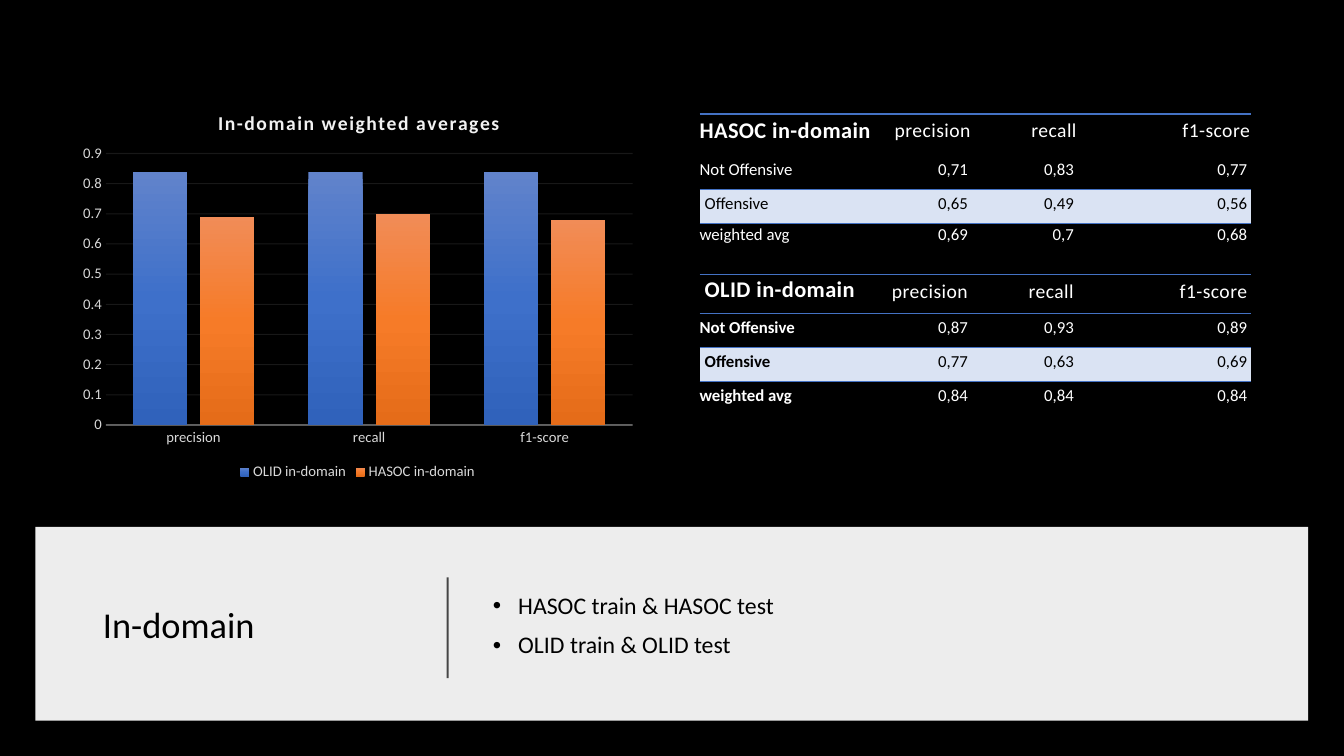
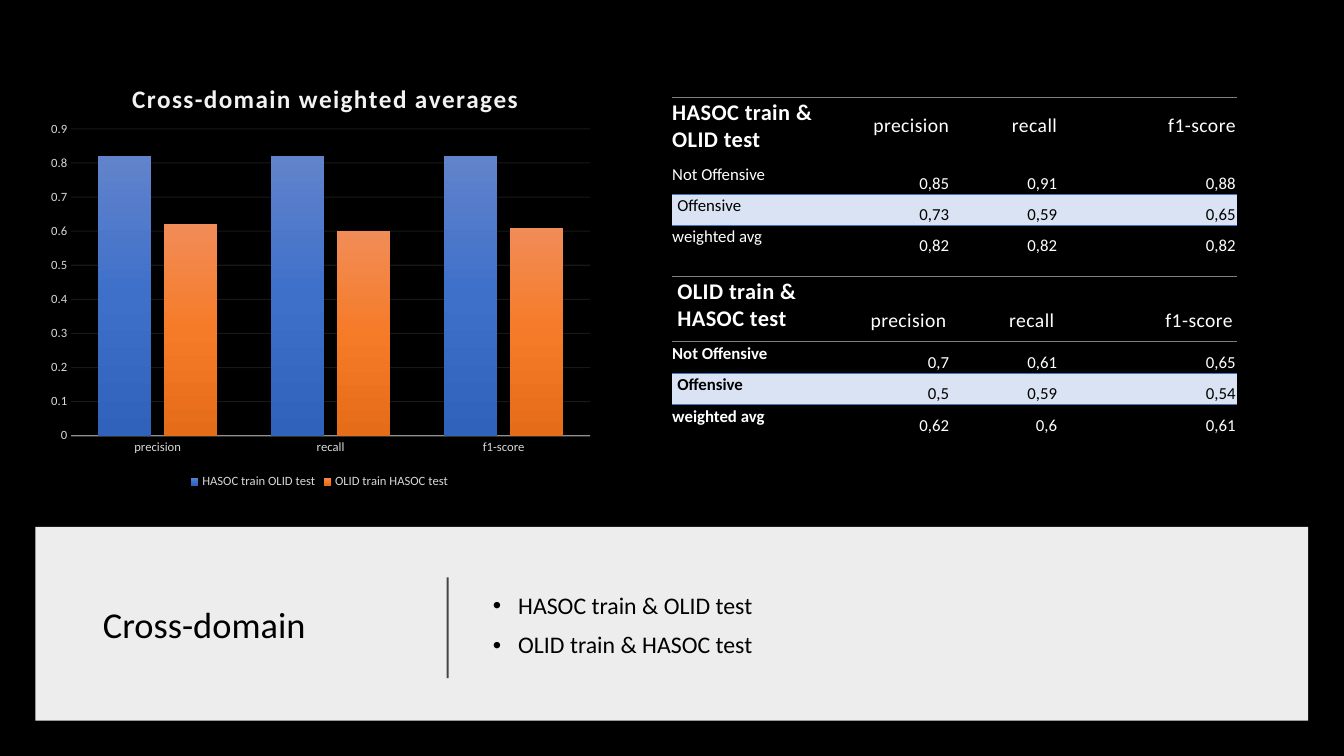
from dataclasses import dataclass

from lxml.etree import SubElement
from pptx import Presentation
from pptx.chart.data import CategoryChartData as ChartData
from pptx.dml.color import RGBColor as RGB
from pptx.enum.chart import XL_CHART_TYPE as Kind, XL_LEGEND_POSITION as Side
from pptx.enum.chart import XL_TICK_MARK as Tick
from pptx.enum.shapes import MSO_CONNECTOR as Wire, MSO_SHAPE as Form
from pptx.enum.text import MSO_ANCHOR as Anchor, MSO_AUTO_SIZE as Fit, PP_ALIGN as Align
from pptx.oxml import parse_xml
from pptx.oxml.ns import nsdecls, qn
from pptx.util import Cm, Pt


@dataclass(frozen=True)
class Theme:
    font: str = "Calibri"
    dark: str = "000000"
    light: str = "FFFFFF"
    label: str = "D9D9D9"
    grid: str = "F2F2F2"
    blue: str = "4472C4"
    grey: str = "7F7F7F"
    tint: str = "DAE3F3"
    bars: tuple = (("6183CB", "3E70CA", "3062BB"), ("F18C57", "F67B28", "E56C19"))
    title: float = 26
    body: float = 17
    head: float = 16
    sub: float = 14
    cell: float = 12


HEADS = ("precision", "recall", "f1-score")
NO_STYLE = "{2D5ABB26-0587-4C30-8999-92F81FD0307C}"
EDGE = (0.03, 0.1, 0.23)  # top, right and bottom cell margins
GAP = 0.51  # extra room under the first block of a table


def fade(color, pct):
    """Set the opacity of a colour, in percent."""
    SubElement(color._xFill[0], qn("a:alpha"), val=str(pct * 1000))


def place(node, at, **parts):
    """Give a chart part a fixed layout in fractions of the chart."""
    old = node.find(qn("c:layout"))
    if old is not None:
        node.remove(old)
    box = parse_xml(f"<c:layout {nsdecls('c')}><c:manualLayout/></c:layout>")
    if "w" in parts:
        SubElement(box[0], qn("c:layoutTarget"), val="inner")
    for key in ("x", "y"):
        SubElement(box[0], qn(f"c:{key}Mode"), val="edge")
    for key, val in parts.items():
        SubElement(box[0], qn(f"c:{key}"), val=str(val))
    node.insert(at, box)


class Deck:
    def __init__(self, theme):
        self.theme = theme
        self.show = Presentation()
        self.show.slide_width, self.show.slide_height = Cm(33.87), Cm(19.05)
        self.slide = None

    def start(self):
        self.slide = self.show.slides.add_slide(self.show.slide_layouts[5])
        fill = self.slide.background.fill
        fill.solid()
        fill.fore_color.rgb = RGB.from_string(self.theme.dark)

    def style(self, font, size, color, bold=False):
        font.name, font.size, font.bold = self.theme.font, Pt(size), bold
        font.color.rgb = RGB.from_string(color)

    def run(self, para, text, size, color, bold=False, spc=0):
        run = para.add_run()
        run.text = text
        self.style(run.font, size, color, bold)
        if spc:
            run.font._element.set("spc", str(spc))

    def band(self):
        shapes = self.slide.shapes
        band = shapes.add_shape(Form.RECTANGLE, Cm(0.89), Cm(13.28), Cm(32.08), Cm(4.88))
        band.shadow.inherit = False
        band.fill.solid()
        band.fill.fore_color.rgb = RGB.from_string(self.theme.light)
        fade(band.fill.fore_color, 93)
        band.line.fill.background()
        line = shapes.add_connector(Wire.STRAIGHT, Cm(11.28), Cm(17.09), Cm(11.28), Cm(14.55))
        line.line.width = Pt(1.5)
        line.line.color.rgb = RGB.from_string(self.theme.dark)
        fade(line.line.color, 70)
        SubElement(line._element.spPr, qn("a:effectLst"))

    def frame(self, shape, left, width):
        """Set a text shape on the band and return its text frame."""
        shape.left, shape.top = Cm(left), Cm(13.92)
        shape.width, shape.height = Cm(width), Cm(3.73)
        frame = shape.text_frame
        frame.word_wrap, frame.auto_size = True, Fit.NONE
        frame.vertical_anchor = Anchor.MIDDLE
        return frame

    def title(self, text):
        shape = self.slide.shapes.title
        para = self.frame(shape, 2.34, 8.03).paragraphs[0]
        para.alignment, para.line_spacing = Align.LEFT, 0.9
        self.run(para, text, self.theme.title, self.theme.dark)
        tree = shape._element.getparent()
        tree.append(shape._element)

    def points(self, items):
        shape = self.slide.shapes.add_textbox(0, 0, 0, 0)
        frame = self.frame(shape, 12.17, 19.38)
        for pos, item in enumerate(items):
            para = frame.add_paragraph() if pos else frame.paragraphs[0]
            para.line_spacing, para.space_before = 0.9, Pt(10)
            props = para._p.get_or_add_pPr()
            props.set("marL", str(Cm(0.64)))
            props.set("indent", str(-Cm(0.64)))
            SubElement(props, qn("a:buFont"), typeface="Arial")
            SubElement(props, qn("a:buChar"), char="•")
            self.run(para, item, self.theme.body, self.theme.dark)

    def rule(self, cell, color, width):
        """Draw the top border of a cell."""
        line = parse_xml(
            f'<a:lnT {nsdecls("a")} w="{Pt(width)}"><a:solidFill>'
            f'<a:srgbClr val="{color}"/></a:solidFill></a:lnT>')
        cell._tc.get_or_add_tcPr().insert(0, line)

    def cell(self, cell, text, edges, right, **font):
        cell.margin_left, cell.margin_top, cell.margin_right, cell.margin_bottom = map(Cm, edges)
        cell.vertical_anchor = Anchor.BOTTOM
        para = cell.text_frame.paragraphs[0]
        para.alignment = Align.RIGHT if right else Align.LEFT
        self.run(para, text, **font)

    def table(self, spot, cols, rows, blocks, rules, tight):
        """Stack score blocks; tight puts the numbers on the cell floor."""
        look = self.theme
        frame = self.slide.shapes.add_table(
            len(rows), len(cols), *map(Cm, (*spot, sum(cols), sum(rows))))
        table = frame.table
        table.first_row = table.horz_banding = False
        next(frame._element.iter(qn("a:tableStyleId"))).text = NO_STYLE
        for col, width in zip(table.columns, cols):
            col.width = Cm(width)
        for row, height in zip(table.rows, rows):
            row.height = Cm(height)
        for part, (name, lines) in enumerate(blocks):
            grid = [(name, *HEADS), *lines]
            for pos, line in enumerate(grid):
                head, mark = pos == 0, pos == 2
                for num, text in enumerate(line):
                    cell = table.cell(part * len(grid) + pos, num)
                    top, side, foot = EDGE
                    left = 0.13 if mark or (head and part) else 0
                    if head and not part:
                        side = 0.03
                    elif tight and num and not head:
                        left, side, foot = 0.03, 0.03, 0
                    if pos == 3 and not part:
                        foot += GAP
                    size = look.cell
                    if head:
                        size = look.sub if num else look.head
                    self.cell(cell, text, (left, top, side, foot), num > 0, size=size,
                              color=look.dark if mark else look.light,
                              bold=num == 0 and (head or part > 0), spc=30 if head else 0)
                    if head and not part:
                        cell.vertical_anchor = Anchor.MIDDLE
                    if mark:
                        cell.fill.solid()
                        cell.fill.fore_color.rgb = RGB.from_string(look.tint)
                        self.rule(cell, look.blue, 0.75)
                    else:
                        cell.fill.background()
                    if head:
                        self.rule(cell, *rules[part])

    def chart(self, spot, title, size, small, series, at, plot):
        look = self.theme
        data = ChartData()
        data.categories = HEADS
        for name, vals in series:
            data.add_series(name, vals)
        chart = self.slide.shapes.add_chart(
            Kind.COLUMN_CLUSTERED, *map(Cm, spot), data).chart
        self.style(chart.font, small, look.label)
        back = parse_xml(
            f'<c:spPr {nsdecls("c", "a")}><a:solidFill><a:srgbClr val="{look.dark}"/>'
            '</a:solidFill><a:ln><a:noFill/></a:ln></c:spPr>')
        chart._chartSpace.find(qn("c:txPr")).addprevious(back)

        chart.has_title = True
        para = chart.chart_title.text_frame.paragraphs[0]
        self.run(para, title, size, look.grid, True, 100)
        place(chart.chart_title._element, 1, **at)
        place(chart._chartSpace.chart.plotArea, 0, **plot)

        chart.has_legend = True
        chart.legend.position = Side.BOTTOM
        chart.legend.include_in_layout = False
        self.style(chart.legend.font, small, look.label)

        base, scale = chart.category_axis, chart.value_axis
        for axis in (base, scale):
            axis.major_tick_mark = axis.minor_tick_mark = Tick.NONE
            self.style(axis.tick_labels.font, small, look.label)
        scale.minimum_scale, scale.maximum_scale, scale.major_unit = 0, 0.9, 0.1
        scale.format.line.fill.background()
        for line, width, pct in ((base.format.line, 1, 54),
                                 (scale.major_gridlines.format.line, 0.75, 10)):
            line.width = Pt(width)
            line.color.rgb = RGB.from_string(look.grid)
            fade(line.color, pct)

        bars = chart.plots[0]
        bars.vary_by_categories = False
        bars.gap_width, bars.overlap = 100, -24
        for item, tones in zip(bars.series, look.bars):
            stops = "".join(
                f'<a:gs pos="{pos * 50000}"><a:srgbClr val="{tone}"/></a:gs>'
                for pos, tone in enumerate(tones))
            item._element.get_or_add_spPr().append(parse_xml(
                f'<a:gradFill {nsdecls("a")}><a:gsLst>{stops}</a:gsLst>'
                '<a:lin ang="5400000" scaled="0"/></a:gradFill>'))

    def page(self, title, items, table, chart):
        self.start()
        self.band()
        self.title(title)
        self.points(items)
        self.table(**table)
        self.chart(**chart)


def block(name, *scores):
    """Pair a heading with its three labelled score rows."""
    labels = ("Not Offensive", "Offensive", "weighted avg")
    return name, [(label, *line.split()) for label, line in zip(labels, scores)]


def main():
    theme = Theme()
    deck = Deck(theme)
    deck.page(
        "In-domain", ("HASOC train & HASOC test", "OLID train & OLID test"),
        dict(spot=(17.63, 2.87), cols=(4.55, 2.31, 2.67, 4.37),
             rows=(1.04, 0.86, 0.86, 1.24, 0.97, 0.86, 0.86, 0.86),
             blocks=(block("HASOC in-domain", "0,71 0,83 0,77", "0,65 0,49 0,56", "0,69 0,7 0,68"),
                     block("OLID in-domain", "0,87 0,93 0,89", "0,77 0,63 0,69", "0,84 0,84 0,84")),
             rules=((theme.blue, 1.5), (theme.blue, 0.75)), tight=False),
        dict(spot=(1.8, 2.16, 14.43, 10.06), title="In-domain weighted averages",
             size=14, small=10.5,
             series=(("OLID in-domain", (0.84, 0.84, 0.84)),
                     ("HASOC in-domain", (0.69, 0.7, 0.68))),
             at=dict(x=0.25, y=0.05), plot=dict(x=0.06, y=0.17, w=0.92, h=0.68)))
    deck.page(
        "Cross-domain", ("HASOC train & OLID test", "OLID train & HASOC test"),
        dict(spot=(16.94, 2.46), cols=(4.65, 2.36, 2.72, 4.5),
             rows=(1.63, 0.79, 0.79, 1.24, 1.63, 0.79, 0.79, 0.79),
             blocks=(block("HASOC train & OLID test",
                           "0,85 0,91 0,88", "0,73 0,59 0,65", "0,82 0,82 0,82"),
                     block("OLID train & HASOC test",
                           "0,7 0,61 0,65", "0,5 0,59 0,54", "0,62 0,6 0,61")),
             rules=((theme.grey, 0.75), (theme.grey, 0.75)), tight=True),
        dict(spot=(0.94, 1.37, 14.22, 11.05), title="Cross-domain weighted averages",
             size=18, small=9,
             series=(("HASOC train OLID test", (0.82, 0.82, 0.82)),
                     ("OLID train HASOC test", (0.62, 0.6, 0.61))),
             at=dict(x=0.16, y=0.05), plot=dict(x=0.06, y=0.17, w=0.92, h=0.7)))
    deck.show.save("out.pptx")


if __name__ == "__main__":
    main()
